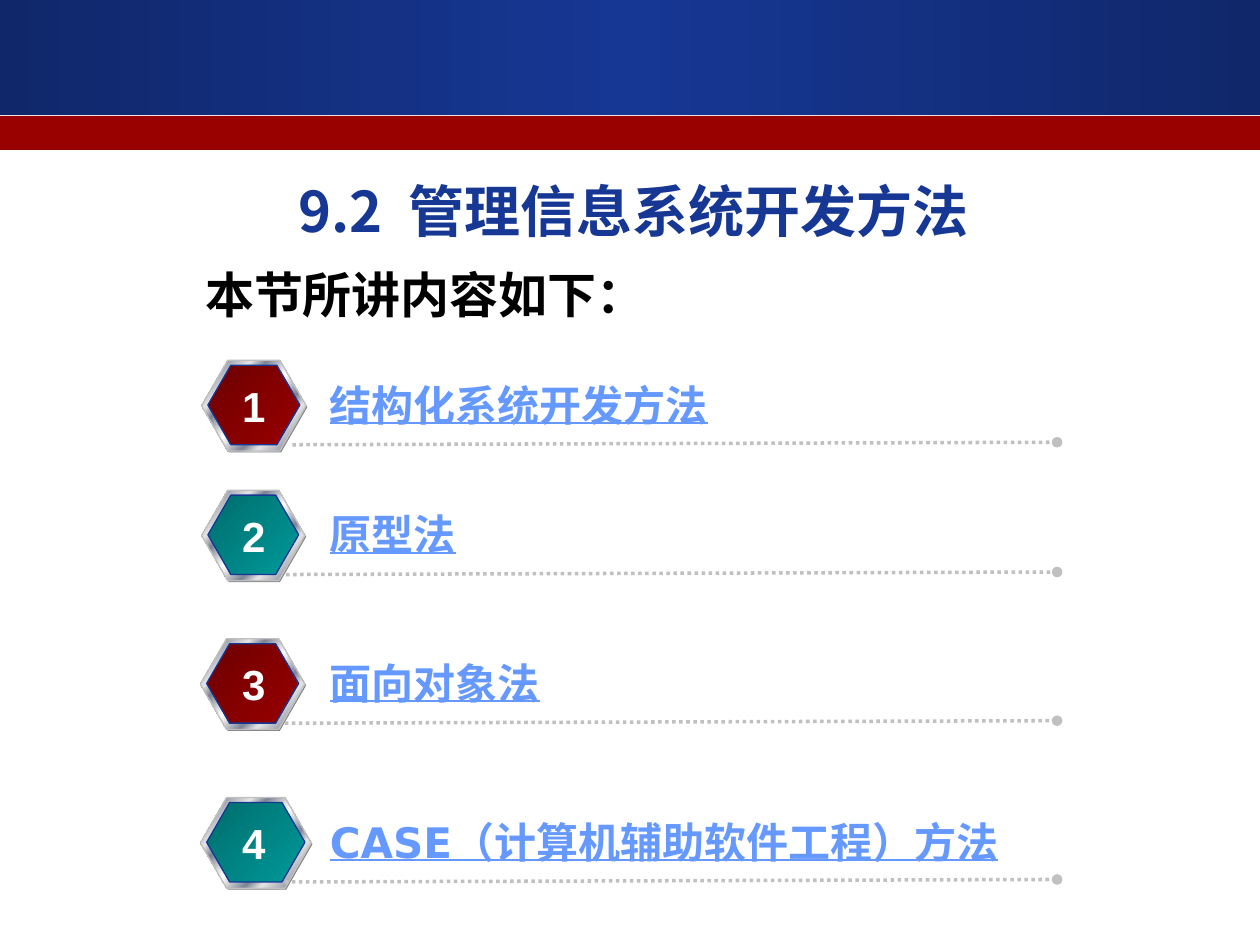
from lxml import etree
from pptx import Presentation
from pptx.dml.color import RGBColor
from pptx.enum.dml import MSO_LINE
from pptx.enum.shapes import MSO_CONNECTOR, MSO_SHAPE
from pptx.enum.text import MSO_ANCHOR, PP_ALIGN
from pptx.oxml.ns import qn
from pptx.util import Inches, Pt

RECT, HEXAGON = MSO_SHAPE.RECTANGLE, MSO_SHAPE.HEXAGON
STRAIGHT = MSO_CONNECTOR.STRAIGHT
DOTTED = MSO_LINE.ROUND_DOT
LEFT, CENTER = PP_ALIGN.LEFT, PP_ALIGN.CENTER
TOP, MIDDLE = MSO_ANCHOR.TOP, MSO_ANCHOR.MIDDLE

NAVY = RGBColor(0x10, 0x27, 0x6A)
BLUE = RGBColor(0x16, 0x37, 0x94)
LINK = RGBColor(0x66, 0x99, 0xFF)
RED = RGBColor(0x99, 0x00, 0x00)
DARK_RED = RGBColor(0x6D, 0x00, 0x00)
TEAL = RGBColor(0x00, 0x99, 0x99)
DARK_TEAL = RGBColor(0x00, 0x6D, 0x6D)
GRAY = RGBColor(0x80, 0x80, 0x80)
SILVER = RGBColor(0xC0, 0xC0, 0xC0)
STEEL = RGBColor(0x7D, 0x84, 0x96)
PALE = RGBColor(0xE6, 0xE6, 0xE6)
WHITE = RGBColor(0xFF, 0xFF, 0xFF)
BLACK = RGBColor(0x00, 0x00, 0x00)

BANNER = [(0, NAVY), (50, BLUE), (100, NAVY)]
METAL = [(0, PALE), (8, STEEL), (26, PALE), (34, STEEL), (46, PALE), (50, WHITE),
         (54, PALE), (66, STEEL), (74, PALE), (92, STEEL), (100, PALE)]
RED_FACE = [(0, DARK_RED), (100, RED)]
TEAL_FACE = [(0, DARK_TEAL), (100, TEAL)]

# Badge left, top and width, start of the dotted rule, label
TOPICS = [
    (1.6, 2.86, 0.83, 2.32, "结构化系统开发方法"),
    (1.6, 3.89, 0.82, 2.27, "原型法"),
    (1.59, 5.07, 0.83, 2.26, "面向对象法"),
    (1.59, 6.33, 0.88, 2.26, "CASE（计算机辅助软件工程）方法"),
]


class SlideBuilder:
    heading_font = "Noto Sans CJK SC"
    intro_font = "Roboto Slab"
    label_font = "DejaVu Sans"
    number_font = "Arial"

    def __init__(self, page):
        self.page = page

    def gradient(self, shape, stops, angle):
        shape.fill.gradient()
        shape.fill.gradient_angle = -angle % 360  # counter-clockwise
        stop_list = shape._element.spPr.find(qn("a:gradFill")).find(qn("a:gsLst"))
        for old_stop in list(stop_list):
            stop_list.remove(old_stop)
        for position, color in stops:
            stop = etree.SubElement(stop_list, qn("a:gs"), pos=str(position * 1000))
            etree.SubElement(stop, qn("a:srgbClr"), val=str(color))

    def shape(self, kind, left, top, width, height, fill, angle=0, line=None, parent=None):
        shapes = (parent or self.page).shapes
        shape = shapes.add_shape(kind, Inches(left), Inches(top), Inches(width), Inches(height))
        shape.shadow.inherit = False
        if isinstance(fill, list):
            self.gradient(shape, fill, angle)
        else:
            shape.fill.solid()
            shape.fill.fore_color.rgb = fill
        if line is None:
            shape.line.fill.background()
        else:
            shape.line.color.rgb = line
            shape.line.width = Pt(0.75)
        if kind == HEXAGON:
            shape.adjustments[0] = 0.289
        return shape

    def badge(self, left, top, width, face):
        group = self.page.shapes.add_group_shape()
        self.shape(HEXAGON, left + 0.01, top + 0.01, width, 0.72, GRAY, parent=group)
        self.shape(HEXAGON, left, top, width, 0.72, METAL, 45, SILVER, group)
        self.shape(HEXAGON, left + 0.05, top + 0.04, width - 0.1, 0.63, face, 45, BLUE, group)

    def rule(self, start_x, start_y, end_x, end_y):
        rule = self.page.shapes.add_connector(
            STRAIGHT, Inches(start_x), Inches(start_y), Inches(end_x), Inches(end_y))
        rule.line.color.rgb = SILVER
        rule.line.width = Pt(2)
        rule.line.dash_style = DOTTED
        properties = rule._element.spPr
        etree.SubElement(properties.find(qn("a:ln")), qn("a:tailEnd"), type="oval")
        etree.SubElement(properties, qn("a:effectLst"))

    def text(self, left, top, width, height, words, font, size, color,
             align=LEFT, anchor=TOP, spacing=None, underline=None, wrap=True):
        box = self.page.shapes.add_textbox(
            Inches(left), Inches(top), Inches(width), Inches(height))
        frame = box.text_frame
        frame.word_wrap = wrap
        frame.vertical_anchor = anchor
        para = frame.paragraphs[0]
        para.text = words
        para.alignment = align
        para.line_spacing = spacing
        para.font.size = Pt(size)
        para.font.bold = True
        para.font.underline = underline
        para.font.color.rgb = color
        para.font.name = font
        # The same typeface for East Asian characters
        etree.SubElement(para.font._element, qn("a:ea"), typeface=font)


def main():
    deck = Presentation()
    deck.slide_width, deck.slide_height = Inches(10), Inches(7.5)
    builder = SlideBuilder(deck.slides.add_slide(deck.slide_layouts[6]))

    # Banner
    builder.shape(RECT, 0, 0, 10, 0.91, BANNER)
    builder.shape(RECT, 0, 0.92, 10, 0.27, RED)

    # Heading and introduction
    builder.text(1.09, 1.25, 7.88, 0.84, "9.2  管理信息系统开发方法",
                 builder.heading_font, 32, BLUE, align=CENTER, anchor=MIDDLE)
    builder.text(1.53, 1.86, 4.57, 0.76, "本节所讲内容如下：",
                 builder.intro_font, 28, BLACK, spacing=1.4)

    # Numbered topics
    for number, (left, top, width, rule_start, label) in enumerate(TOPICS, 1):
        builder.badge(left, top, width, RED_FACE if number % 2 else TEAL_FACE)
        builder.rule(rule_start, top + 0.67, 8.39, top + 0.65)
        builder.text(2.52, top - 0.06, 6.27, 0.66, label,
                     builder.label_font, 24, LINK, spacing=1.4, underline=True)
        builder.text(1.82, top + 0.11, 0.39, 0.5, str(number),
                     builder.number_font, 24, WHITE, align=CENTER, wrap=False)

    deck.save("out.pptx")


if __name__ == "__main__":
    main()
